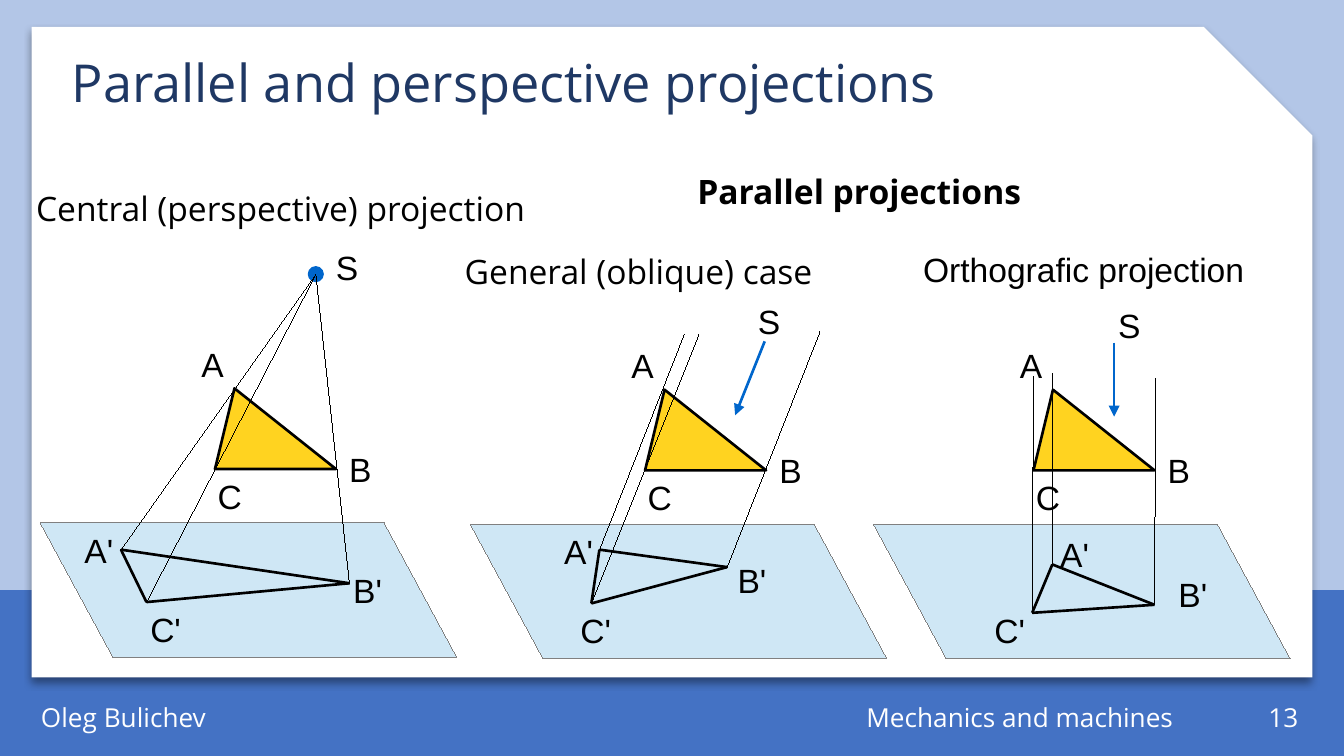
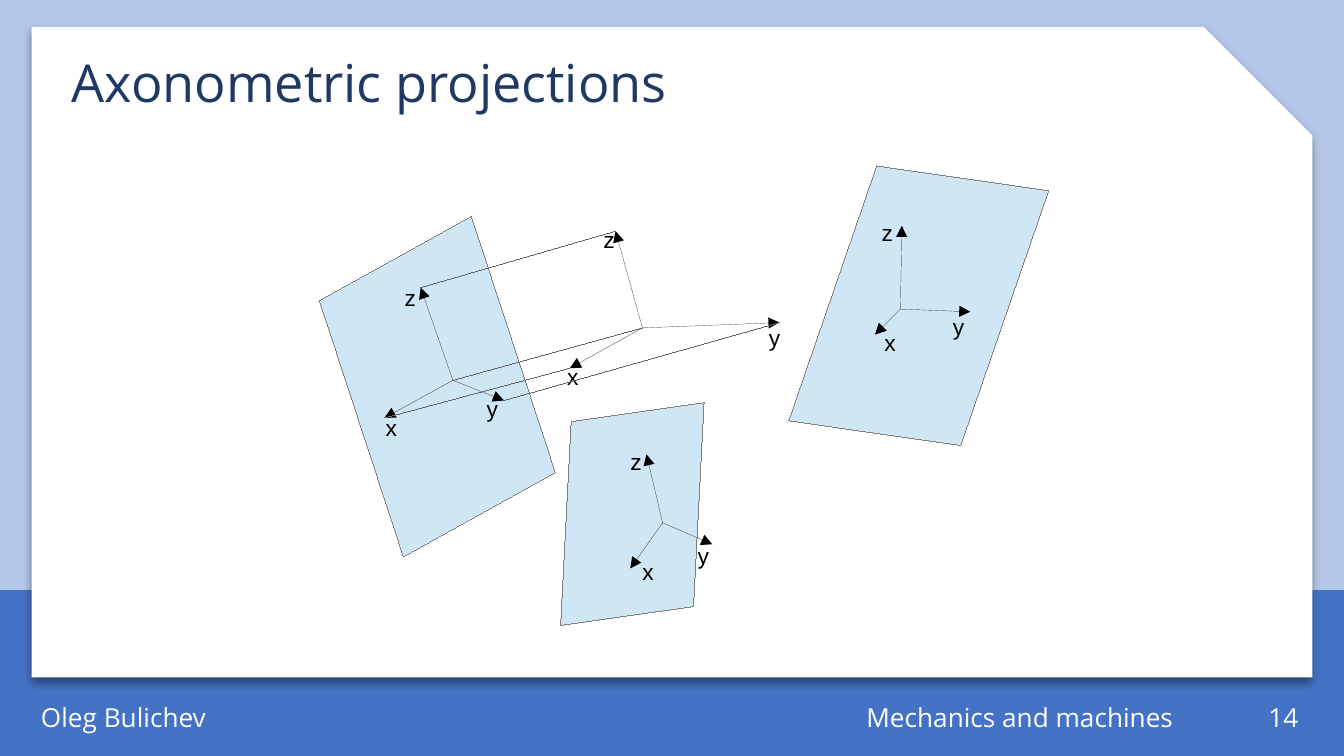
from itertools import combinations

from lxml import etree
from pptx import Presentation
from pptx.dml.color import RGBColor
from pptx.enum.shapes import MSO_CONNECTOR, MSO_SHAPE as SHAPE
from pptx.enum.text import MSO_ANCHOR as ANCHOR, PP_ALIGN as ALIGN
from pptx.oxml.ns import qn
from pptx.util import Inches, Pt

prs = Presentation()
prs.slide_width = Inches(10)
prs.slide_height = prs.slide_width * 9 // 16
U = prs.slide_width // 100  # one grid column; rows have the same size
rgb = RGBColor.from_string

SKY, BLUE, WHITE, BLACK, NAVY = "B3C6E7", "4472C4", "FFFFFF", "000000", "1F3864"
PLANE, GREY, YELLOW, RAY_BLUE, RAY_GREY = "CFE7F5", "808080", "FFD320", "0066CC", "666666"
HAIR, BOLD = 0, 1.42

FOOTER = dict(size=Pt(14), name="Open Sans", color=WHITE)
TITLE = dict(size=Pt(28), name="Open Sans", color=NAVY)
HEADING = dict(size=Pt(18), name="Open Sans", color=BLACK)
POINT = dict(size=Pt(18), name="Arial", color=BLACK)
AXIS = dict(size=Pt(12.2), name="Arial", color=BLACK)


def box(shapes, at, kind=None, fill=None, edge=None, width=HAIR, adj=None,
        text=None, font=None, inset=(1, 0.5), align=ALIGN.LEFT, anchor=ANCHOR.TOP):
    """Add a preset shape, or a text box when no kind is given; at is in columns."""
    rect = [round(v * U) for v in at]
    if kind is None:
        s = shapes.add_textbox(*rect)
        tf = s.text_frame
        tf.word_wrap = at[2] > 10
        tf.margin_left = tf.margin_right = round(inset[0] * U)
        tf.margin_top = tf.margin_bottom = round(inset[1] * U)
        tf.vertical_anchor = anchor
        p = tf.paragraphs[0]
        p.alignment = align
        r = p.add_run()
        r.text = text
        for key, value in font.items():
            if key == "color":
                r.font.color.rgb = rgb(value)
            else:
                setattr(r.font, key, value)
        return s
    s = shapes.add_shape(kind, *rect)
    s.shadow.inherit = False
    s.fill.solid()
    s.fill.fore_color.rgb = rgb(fill)
    if edge:
        s.line.color.rgb = rgb(edge)
        # A zero width must be written out, or the theme's width applies
        s._element.spPr.find(qn("a:ln")).set("w", str(Pt(width)))
    else:
        s.line.fill.background()
    if adj is not None:
        s.adjustments[0] = adj
    return s


def line(shapes, start, end, color=BLACK, width=HAIR, arrow=False):
    c = shapes.add_connector(MSO_CONNECTOR.STRAIGHT, *[round(v * U) for v in (*start, *end)])
    c.line.color.rgb = rgb(color)
    spPr = c._element.spPr
    ln = spPr.find(qn("a:ln"))
    ln.set("w", str(Pt(width)))
    if arrow:
        etree.SubElement(ln, qn("a:tailEnd"), type="triangle")
    etree.SubElement(spPr, qn("a:effectLst"))


# Frame shared by the slides
bg = prs.slide_master.background.fill
bg.solid()
bg.fore_color.rgb = rgb(SKY)

pages = []
for number, title in [(13, "Parallel and perspective projections"),
                      (14, "Axonometric projections")]:
    shapes = prs.slides.add_slide(prs.slide_layouts[6]).shapes
    box(shapes, (0, 43.9, 100, 12.35), SHAPE.RECTANGLE, BLUE)
    card = box(shapes, (2.35, 2, 95.3, 48.4), SHAPE.SNIP_1_RECTANGLE, WHITE, adj=0.167)
    shadow = etree.SubElement(card._element.spPr.find(qn("a:effectLst")), qn("a:outerShdw"),
                              blurRad=str(Pt(4)), dist=str(Pt(3)), dir="5400000",
                              algn="t", rotWithShape="0")
    tint = etree.SubElement(shadow, qn("a:srgbClr"), val=BLACK)
    etree.SubElement(tint, qn("a:alpha"), val="40000")
    for x, w, text, align in [(2.35, 14.3, "Oleg Bulichev", ALIGN.LEFT),
                              (89.8, 7.5, str(number), ALIGN.RIGHT),
                              (48.6, 39.4, "Mechanics and machines", ALIGN.RIGHT)]:
        box(shapes, (x, 51.85, w, 3), text=text, font=FOOTER, inset=(0.7, 0.4),
            align=align, anchor=ANCHOR.MIDDLE)
    s = box(shapes, (4.65, 3.9, 86.2, 6.6), text=title, font=TITLE, inset=(0.7, 0.4))
    s.text_frame.paragraphs[0].line_spacing = 0.9
    pages.append(shapes)

# Parallel and perspective projections
shapes = pages[0]
SUN = (23.5, 20.4)
LABEL_W = {1: 3.8, 2: 4.3}  # by number of characters
OBJECT_LABELS = {"A": (-2, -3.8), "B": (9, 4), "C": (-0.8, 6)}  # from the triangle's corner
panels = [
    dict(plane=(3, 38.9), triangle=(16, 28.9), sources=[SUN] * 3,
         images=[(9, 40.9), (26, 43.4), (10.9, 44.8)], arrow=None,
         labels={"A'": (5.3, 38.9), "B'": (25.3, 41.9), "C'": (10.2, 44.8), "S": (24, 17.9)}),
    dict(plane=(35, 39), triangle=(48, 29), sources=[(50.9, 24.9), (61, 24.7), (52, 24.9)],
         images=[(44.6, 40.9), (54.1, 42.2), (44, 44.9)], arrow=[(56.9, 25.4), (54.7, 30.9)],
         labels={"A'": (41, 39), "B'": (53.9, 41.2), "C'": (42.2, 44.9), "S": (55.4, 21.9)}),
    dict(plane=(65, 39), triangle=(76.9, 29), sources=[(78.3, 27.8), (86, 28.2), (76.9, 28)],
         images=[(78.3, 42), (85.9, 45), (76.8, 45.6)], arrow=[(82.9, 25.5), (82.9, 31)],
         labels={"A'": (77.9, 39.2), "B'": (86.7, 42.2), "C'": (73, 44.9), "S": (82.2, 22.2)}),
]
for panel in panels:
    s = box(shapes, (*panel["plane"], 31, 10), SHAPE.PARALLELOGRAM, PLANE, GREY, adj=0.541)
    s._element.spPr.find(qn("a:xfrm")).set("flipH", "1")
    tx, ty = panel["triangle"]
    box(shapes, (tx, ty, 9, 6), SHAPE.ISOSCELES_TRIANGLE, YELLOW, BLACK, BOLD, adj=0.161)
    if panel["arrow"]:
        line(shapes, *panel["arrow"], RAY_BLUE, BOLD, arrow=True)
    else:
        box(shapes, (SUN[0] - 0.5, SUN[1] - 0.5, 1, 1), SHAPE.OVAL, RAY_BLUE, RAY_BLUE, BOLD)
    for source, image in zip(panel["sources"], panel["images"]):
        line(shapes, source, image)
    for start, end in combinations(panel["images"], 2):
        line(shapes, start, end, width=BOLD)
    labels = {name: (tx + dx, ty + dy) for name, (dx, dy) in OBJECT_LABELS.items()}
    for name, spot in (labels | panel["labels"]).items():
        box(shapes, (*spot, LABEL_W[len(name)], 3.8), text=name, font=POINT)

for at, text, font in [
    ((1.7, 13.5, 39.3, 6.8), "Central (perspective) projection", HEADING),
    ((50.9, 12.2, 28, 3.8), "Parallel projections", HEADING | dict(bold=True)),
    ((33.6, 18.2, 29.4, 3.8), "General (oblique) case", HEADING),
    ((67.7, 18, 27.2, 3.8), "Orthografic projection", POINT),
]:
    box(shapes, at, text=text, font=font)

# Axonometric projections: plane and its turn, origin, then tip and label of x, y, z
shapes = pages[1]
systems = [
    ((40.6, 30.8, 12.9, 14.9), -8.1, (49.3, 38.9),
     [(46.9, 42.3), (53, 40.5), (48.1, 33.8)], [(47.1, 41.2), (51.2, 40), (46.2, 33)]),
    (None, 0, (47.8, 24.4),
     [(42.4, 27.4), (58, 24), (45.8, 17.2)], [(41.5, 26.7), (56.5, 23.8), (44.2, 16.5)]),
    ((24.2, 18.9, 16.7, 19.7), -29, (33.7, 28.3),
     [(28.6, 31.1), (37.5, 29.8), (31.3, 21.4)], [(28, 30.5), (35.5, 29.1), (29.4, 20.8)]),
    ((60, 12.9, 16.7, 19.7), 8.2, (67, 23),
     [(65.1, 24.9), (72.2, 23.2), (67.1, 16.8)], [(65.1, 24.2), (70.2, 23), (64.9, 16)]),
]
for plane, turn, origin, tips, spots in systems:
    group = shapes.add_group_shape().shapes
    if plane:
        s = box(group, plane, SHAPE.PARALLELOGRAM, PLANE, GREY, adj=0.226)
        s.rotation = turn
    for name, tip, spot in zip("xyz", tips, spots):
        line(group, origin, tip, arrow=True)
        box(group, (*spot, 2.2, 2.6), text=name, font=AXIS, inset=(0.7, 0.3))

# Projectors from the axes in space to the left plane
space, left = systems[1], systems[2]
group = shapes.add_group_shape().shapes
for start, end in zip([space[2], *space[3]], [left[2], *left[3]]):
    line(group, start, end, RAY_GREY)

prs.save("out.pptx")
